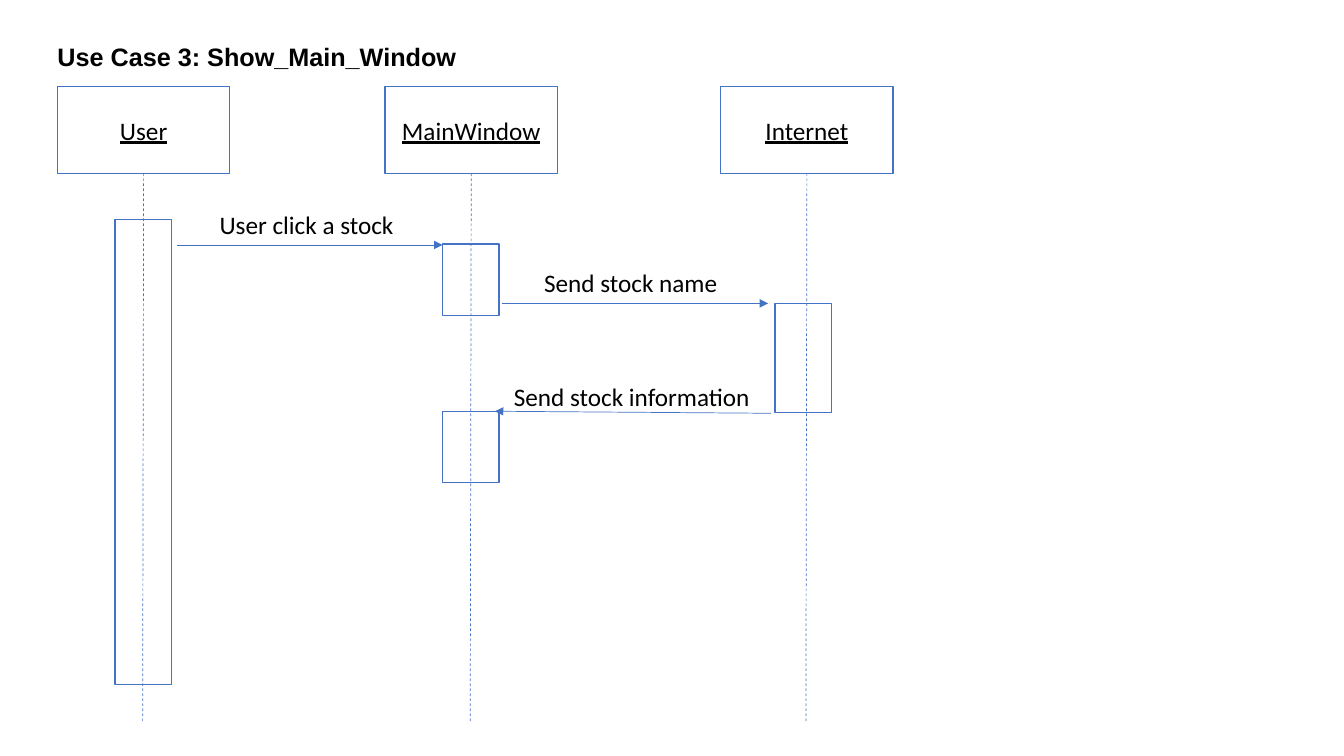
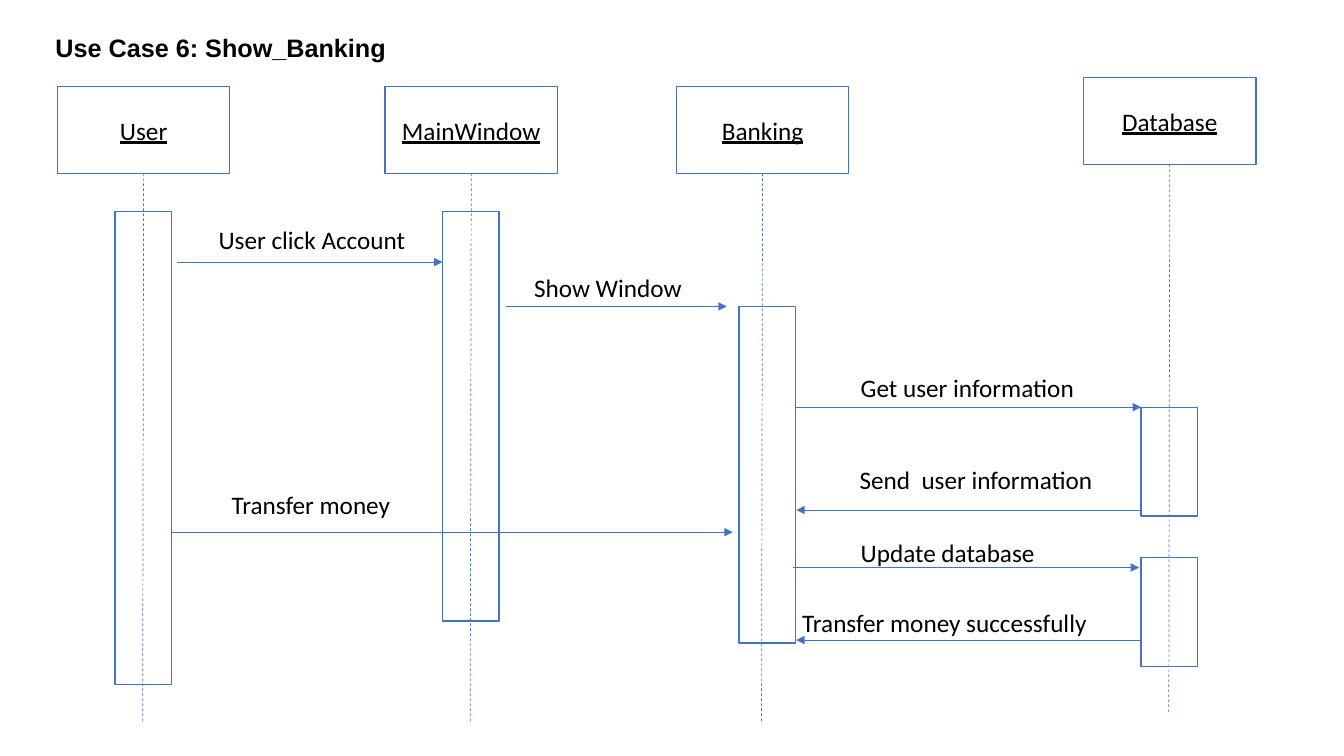
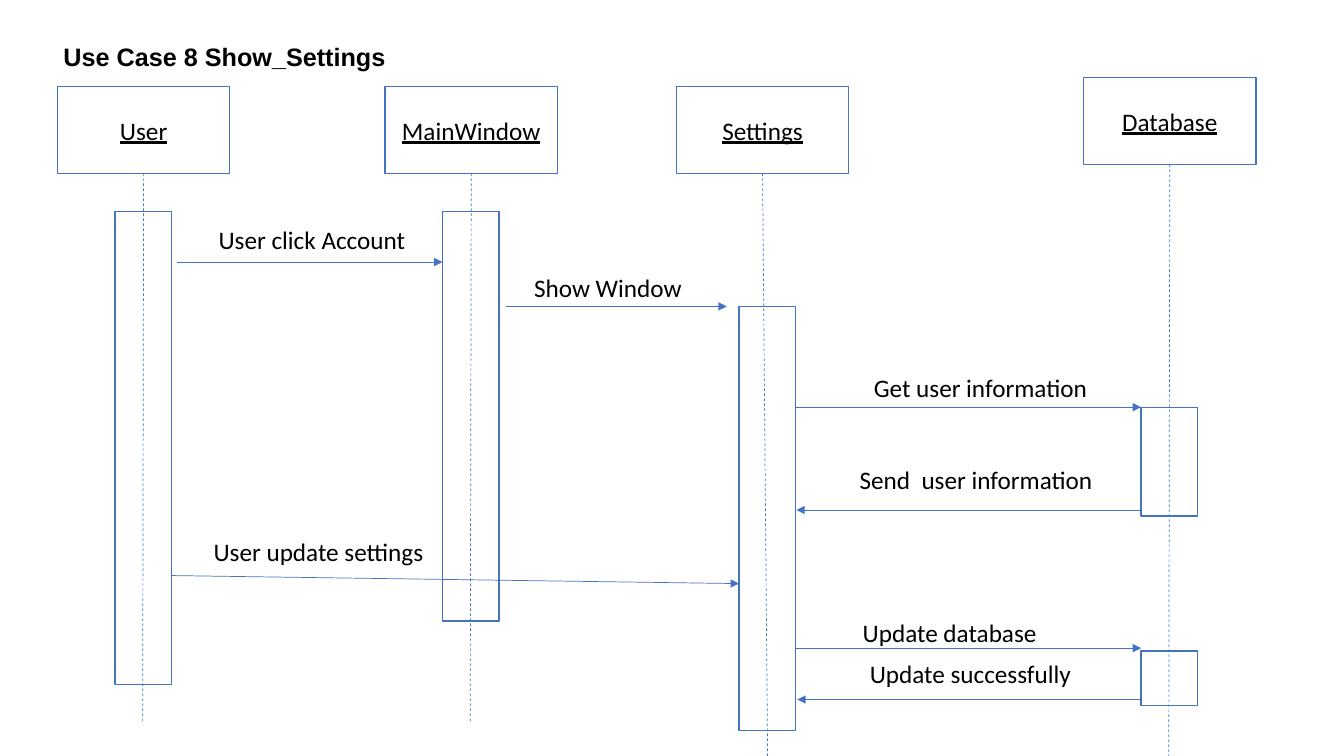
from dataclasses import dataclass

from lxml.etree import SubElement
from pptx import Presentation
from pptx.dml.color import RGBColor
from pptx.enum.dml import MSO_LINE
from pptx.enum.shapes import MSO_CONNECTOR, MSO_SHAPE
from pptx.enum.text import MSO_ANCHOR, MSO_AUTO_SIZE, PP_ALIGN
from pptx.oxml.ns import qn
from pptx.util import Inches, Pt

COLORS = {"paper": "FFFFFF", "line": "4472C4", "text": "000000"}
CELL = Inches(0.1)
COLUMNS, ROWS = 133.33, 75
HEAD_WIDTH, HEAD_HEIGHT = 17.1, 8.6
BAR_WIDTH = 5.6
LIFELINE_LENGTH = 54.5
TITLE_ONLY = 5


@dataclass
class Lane:
    """A participant with its head, lifeline and activation bars."""
    name: str
    left: float
    bars: tuple
    top: float = 8.6
    bar_offset: float = 5.7
    drift: float = -0.1
    length: float = LIFELINE_LENGTH


@dataclass
class Message:
    """An arrow between two lanes and the label above it."""
    text: str
    label: tuple
    start: float
    end: float
    row: float
    drop: float = 0
    wrap: bool = False


def cells(*counts):
    """Turn grid counts into lengths."""
    return [round(count * CELL) for count in counts]


def color(name):
    """Look up a named colour."""
    return RGBColor.from_string(COLORS[name])


def write(box, text, font="Calibri", bold=False, underline=False, align=PP_ALIGN.LEFT):
    """Put one formatted paragraph in a shape and return it."""
    para = box.text_frame.paragraphs[0]
    para.text = text
    para.alignment = align
    para.font.name = font
    para.font.size = Pt(18)
    para.font.bold = bold
    para.font.underline = underline
    para.font.color.rgb = color("text")
    return para


def add_title(page, text, left, top, width):
    """Place the slide title."""
    title = page.shapes.title
    title.left, title.top, title.width, title.height = cells(left, top, width, 4.3)
    frame = title.text_frame
    frame.word_wrap = False
    frame.auto_size = MSO_AUTO_SIZE.SHAPE_TO_FIT_TEXT
    frame.vertical_anchor = MSO_ANCHOR.TOP
    write(title, text, font="Arial", bold=True).line_spacing = 1.07


def add_box(page, left, top, width, height):
    """Add an outlined rectangle."""
    box = page.shapes.add_shape(MSO_SHAPE.RECTANGLE, *cells(left, top, width, height))
    box.shadow.inherit = False
    box.fill.solid()
    box.fill.fore_color.rgb = color("paper")
    box.line.color.rgb = color("line")
    box.line.width = Pt(1)
    return box


def add_line(page, left, top, right, bottom):
    """Add a thin straight connector."""
    line = page.shapes.add_connector(MSO_CONNECTOR.STRAIGHT, *cells(left, top, right, bottom))
    line.line.color.rgb = color("line")
    line.line.width = Pt(0.5)
    SubElement(line._element.spPr, qn("a:effectLst"))
    return line


def add_lane(page, lane):
    """Draw a participant from head to the end of its lifeline."""
    head = add_box(page, lane.left, lane.top, HEAD_WIDTH, HEAD_HEIGHT)
    head.text_frame.vertical_anchor = MSO_ANCHOR.MIDDLE
    write(head, lane.name, underline=True, align=PP_ALIGN.CENTER)
    for top, height in lane.bars:
        add_box(page, lane.left + lane.bar_offset, top, BAR_WIDTH, height)
    center, bottom = lane.left + HEAD_WIDTH / 2, lane.top + HEAD_HEIGHT
    lifeline = add_line(page, center, bottom, center + lane.drift, bottom + lane.length)
    lifeline.begin_connect(head, 2)
    lifeline.line.dash_style = MSO_LINE.DASH


def add_message(page, message):
    """Draw a message arrow with its label."""
    arrow = add_line(page, message.start, message.row, message.end, message.row + message.drop)
    SubElement(arrow._element.spPr.find(qn("a:ln")), qn("a:tailEnd"), type="triangle")
    left, top, width = message.label
    label = page.shapes.add_textbox(*cells(left, top, width, 4))
    label.text_frame.word_wrap = message.wrap
    label.text_frame.auto_size = MSO_AUTO_SIZE.SHAPE_TO_FIT_TEXT
    write(label, message.text)


def add_diagram(deck, title, lanes, messages):
    """Add one sequence diagram slide."""
    page = deck.slides.add_slide(deck.slide_layouts[TITLE_ONLY])
    add_title(page, *title)
    for lane in lanes:
        add_lane(page, lane)
    for message in messages:
        add_message(page, message)


def user_lane(top, height):
    """Describe the user, active until the same row on every slide."""
    return Lane("User", 5.7, ((top, height),))


def window_lane(*bars):
    """Describe the main window."""
    return Lane("MainWindow", 38.2, bars)


def database_lane(*bars, length=LIFELINE_LENGTH):
    """Describe the database, whose head sits a little higher."""
    return Lane("Database", 107.5, bars, top=7.7, length=length)


def account_messages(request_left):
    """List the messages that open both account use cases."""
    return [
        Message("User click Account", (20.7, 21.8, 20.7), 17.6, 43.9, 26),
        Message("Show Window", (52, 26.5, 16.8), 50.2, 72.1, 30.4),
        Message("Get user information", (request_left, 36.4, 23.4), 78.9, 113.2, 40.4),
        Message("Send  user information", (84.3, 45.6, 27.7), 113.2, 79, 50.6, wrap=True),
    ]


def main():
    """Build the deck."""
    deck = Presentation()
    deck.slide_width, deck.slide_height = cells(COLUMNS, ROWS)
    add_diagram(
        deck,
        ("Use Case 3: Show_Main_Window", 4.7, 3.4, 42),
        [
            user_lane(21.8, 46.1),
            window_lane((24.2, 7.1), (40.8, 7.1)),
            Lane("Internet", 71.5, ((30.1, 10.8),), bar_offset=5.4),
        ],
        [
            Message("User click a stock", (20.8, 20.3, 19.4), 17.6, 43.9, 24.3),
            Message("Send stock name", (53, 26, 20), 49.8, 76.2, 30.1),
            Message("Send stock information", (50, 37.3, 26.3), 76.5, 49.1, 41, drop=-0.2),
        ],
    )
    account_lanes = [user_lane(21, 46.9), window_lane((21, 40.6))]
    add_diagram(
        deck,
        ("Use Case 6: Show_Banking", 4.5, 2.5, 35.1),
        account_lanes + [
            Lane("Banking", 67.1, ((30.4, 33.4),), bar_offset=6.2),
            database_lane((40.4, 10.8), (55.3, 10.8)),
        ],
        account_messages(84.4) + [
            Message("Transfer money", (22, 48.1, 17.9), 17, 72.7, 52.8),
            Message("Update database", (84.4, 52.8, 19.5), 78.7, 113, 56.3),
            Message("Transfer money successfully", (78.6, 59.8, 32.9), 113.2, 79, 63.5, wrap=True),
        ],
    )
    add_diagram(
        deck,
        ("Use Case 8 Show_Settings", 5.3, 3.4, 34.3),
        account_lanes + [
            Lane("Settings", 67.1, ((30.4, 42.1),), bar_offset=6.2, drift=0.5, length=57.8),
            database_lane((40.4, 10.8), (64.6, 5.4), length=58.7),
        ],
        account_messages(85.7) + [
            Message("User update settings", (20.2, 52.7, 23.1), 17, 73.3, 57.1, drop=0.8),
            Message("Update database", (84.6, 60.8, 19.5), 78.9, 113.2, 64.3),
            Message("Update successfully", (85.3, 64.8, 32.9), 113.3, 79.1, 69.4, wrap=True),
        ],
    )
    deck.save("out.pptx")


if __name__ == "__main__":
    main()
